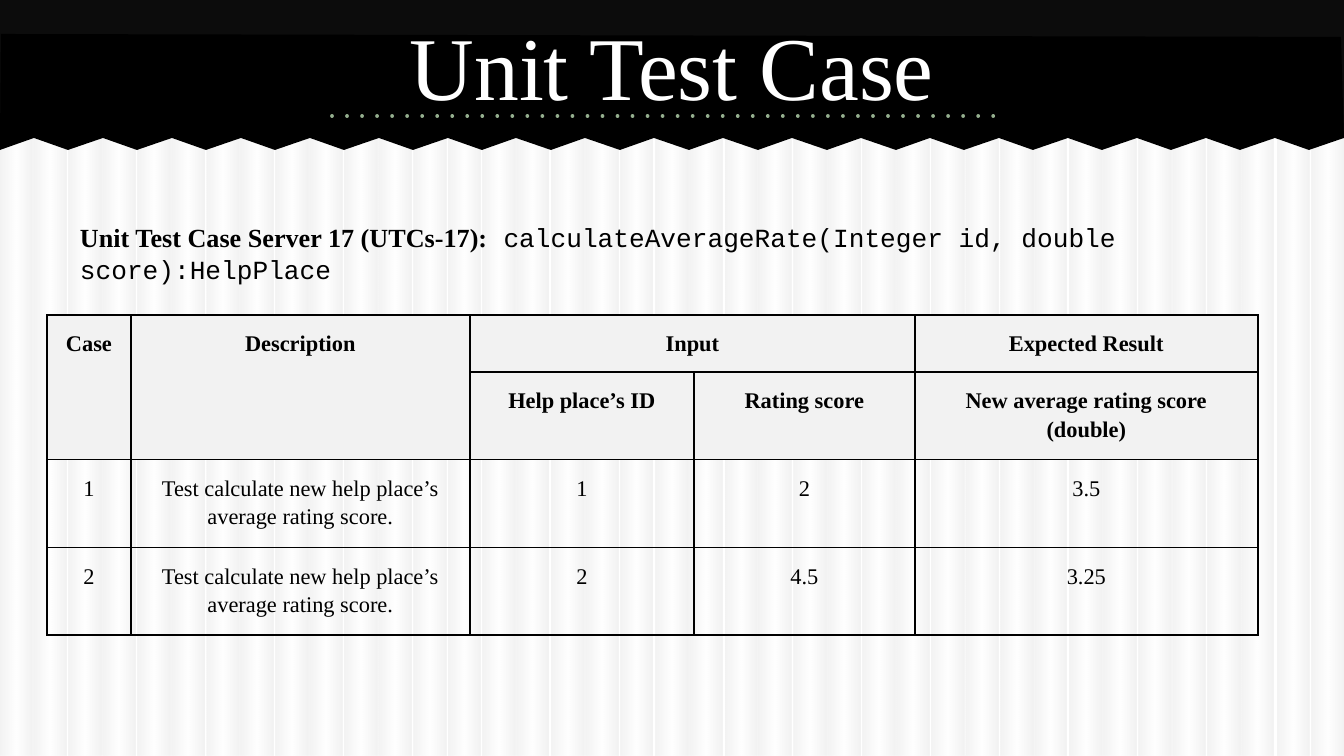
from dataclasses import dataclass

from lxml.etree import SubElement
from pptx import Presentation
from pptx.dml.color import RGBColor as Rgb
from pptx.enum.dml import MSO_LINE as Dash
from pptx.enum.shapes import MSO_CONNECTOR as Link, MSO_SHAPE as Kind
from pptx.enum.text import MSO_ANCHOR as Anchor, PP_ALIGN as Align
from pptx.oxml import parse_xml
from pptx.oxml.ns import nsdecls, qn
from pptx.util import Emu, Pt


@dataclass(frozen=True)
class Theme:
    ink: str = "000000"
    paper: str = "FFFFFF"
    band: str = "0C0C0C"
    head: str = "F2F2F2"
    stripe: str = "BFBFBF"
    dots: str = "94AE8E"
    serif: str = "Times New Roman"
    mono: str = "Courier New"
    title: int = 48
    body: int = 14
    cell: int = 12


@dataclass(frozen=True)
class Box:
    x: int
    y: int
    w: int
    h: int


@dataclass(frozen=True)
class Cell:
    row: int
    col: int
    text: str
    rows: int = 1
    cols: int = 1


LOOK = Theme()
WIDE, HIGH = 1344, 756
HEADS = 2
COLS = (84, 339, 224, 221, 343)
ROWS = (55, 84, 84, 84)
TASK = "Test calculate new help place’s average rating score."
CASES = (
    ("1", TASK, "1", "2", "3.5"),
    ("2", TASK, "2", "4.5", "3.25"),
)
CELLS = [
    Cell(0, 0, "Case", rows=2),
    Cell(0, 1, "Description", rows=2),
    Cell(0, 2, "Input", cols=2),
    Cell(0, 4, "Expected Result"),
    Cell(1, 2, "Help place’s ID"),
    Cell(1, 3, "Rating score"),
    Cell(1, 4, "New average rating score (double)"),
] + [
    Cell(row, col, text)
    for row, case in enumerate(CASES, HEADS)
    for col, text in enumerate(case)
]


def px(n: int) -> Emu:
    return Emu(round(n * 9144000 / WIDE))


def place(box: Box) -> tuple:
    return px(box.x), px(box.y), px(box.w), px(box.h)


def paint(shape, color: str) -> None:
    shape.shadow.inherit = False
    shape.line.fill.background()
    shape.fill.solid()
    shape.fill.fore_color.rgb = Rgb.from_string(color)


def style(font, name: str, size: int, color: str, bold: bool = False) -> None:
    font.name, font.size, font.bold = name, Pt(size), bold
    font.color.rgb = Rgb.from_string(color)


def fade() -> object:
    stops = ((0, LOOK.stripe), (50, LOOK.paper), (97, LOOK.stripe), (100, LOOK.stripe))
    marks = "".join(
        f'<a:gs pos="{at * 1000}"><a:srgbClr val="{color}">'
        '<a:alpha val="19000"/></a:srgbClr></a:gs>'
        for at, color in stops
    )
    return parse_xml(
        f'<a:gradFill {nsdecls("a")} rotWithShape="1"><a:gsLst>{marks}</a:gsLst>'
        '<a:lin ang="0" scaled="0"/></a:gradFill>'
    )


def draw_stripes(slide, count: int = 39) -> None:
    group = slide.shapes.add_group_shape()
    for i in range(count):
        box = Box(i * 1312 // (count - 1), 0, 32, HIGH)
        shape = group.shapes.add_shape(Kind.RECTANGLE, *place(box))
        paint(shape, LOOK.paper)
        props = shape.element.spPr
        props.replace(props.find(qn("a:solidFill")), fade())


def draw_band(slide, teeth: int = 39) -> None:
    band = slide.shapes.add_shape(Kind.RECTANGLE, *place(Box(0, 0, WIDE, 137)))
    paint(band, LOOK.band)
    edge = [
        (px(WIDE * i // teeth), px(138 if i % 2 else 150))
        for i in range(teeth, -1, -1)
    ]
    pen = slide.shapes.build_freeform(px(1), px(34), scale=1.0)
    pen.add_line_segments([(px(1341), px(37)), *edge], close=True)
    paint(pen.convert_to_shape(), LOOK.ink)


def draw_dots(slide) -> None:
    rule = slide.shapes.add_connector(Link.STRAIGHT, px(332), px(116), px(1008), px(116))
    rule.line.color.rgb = Rgb.from_string(LOOK.dots)
    rule.line.width = Pt(2)
    rule.line.dash_style = Dash.ROUND_DOT
    props = rule.element.spPr
    line = props.find(qn("a:ln"))
    line.set("cap", "rnd")
    line.find(qn("a:prstDash")).set("val", "dot")
    SubElement(props, qn("a:effectLst"))


def add_text(slide, box: Box, foot: int = 13):
    frame = slide.shapes.add_textbox(*place(box)).text_frame
    frame.word_wrap = True
    frame.vertical_anchor = Anchor.MIDDLE
    frame.margin_left = frame.margin_right = frame.margin_top = px(13)
    frame.margin_bottom = px(foot)
    return frame.paragraphs[0]


def draw_title(slide) -> None:
    para = add_text(slide, Box(67, 1, 1210, 127))
    para.text = "Unit Test Case"
    para.alignment = Align.CENTER
    style(para.font, LOOK.serif, LOOK.title, LOOK.paper)


def draw_lead(slide) -> None:
    para = add_text(slide, Box(67, 196, 1210, 141), foot=40)
    for text, face, bold in (
        ("Unit Test Case Server 17 (UTCs-17):", LOOK.serif, True),
        (" calculateAverageRate(Integer id, double score):HelpPlace", LOOK.mono, False),
    ):
        run = para.add_run()
        run.text = text
        style(run.font, face, LOOK.body, LOOK.ink, bold)


def trim(cell, head: bool) -> None:
    props = cell._tc.get_or_add_tcPr()
    for side in ("lnL", "lnR", "lnT", "lnB"):
        line = SubElement(props, qn(f"a:{side}"), w=str(Pt(1)))
        fill = SubElement(line, qn("a:solidFill"))
        SubElement(fill, qn("a:srgbClr"), val=LOOK.ink)
    if head:
        cell.fill.solid()
        cell.fill.fore_color.rgb = Rgb.from_string(LOOK.head)
    else:
        cell.fill.background()


def draw_table(slide) -> None:
    box = Box(47, 315, sum(COLS), sum(ROWS))
    table = slide.shapes.add_table(len(ROWS), len(COLS), *place(box)).table
    table.first_row = table.horz_banding = False
    for col, size in zip(table.columns, COLS):
        col.width = px(size)
    for i, (row, size) in enumerate(zip(table.rows, ROWS)):
        row.height = px(size)
        for cell in row.cells:
            trim(cell, i < HEADS)
    for item in CELLS:
        cell = table.cell(item.row, item.col)
        if item.rows * item.cols > 1:
            cell.merge(table.cell(item.row + item.rows - 1, item.col + item.cols - 1))
        cell.margin_left = cell.margin_right = px(9)
        cell.margin_top = cell.margin_bottom = px(13)
        para = cell.text_frame.paragraphs[0]
        para.text = item.text
        para.alignment = Align.CENTER
        para.line_spacing = 1.15
        style(para.font, LOOK.serif, LOOK.cell, LOOK.ink, item.row < HEADS)


def main() -> None:
    deck = Presentation()
    deck.slide_width, deck.slide_height = px(WIDE), px(HIGH)
    slide = deck.slides.add_slide(deck.slide_layouts[6])
    for draw in (draw_stripes, draw_band, draw_dots, draw_title, draw_table, draw_lead):
        draw(slide)
    deck.save("out.pptx")


if __name__ == "__main__":
    main()
